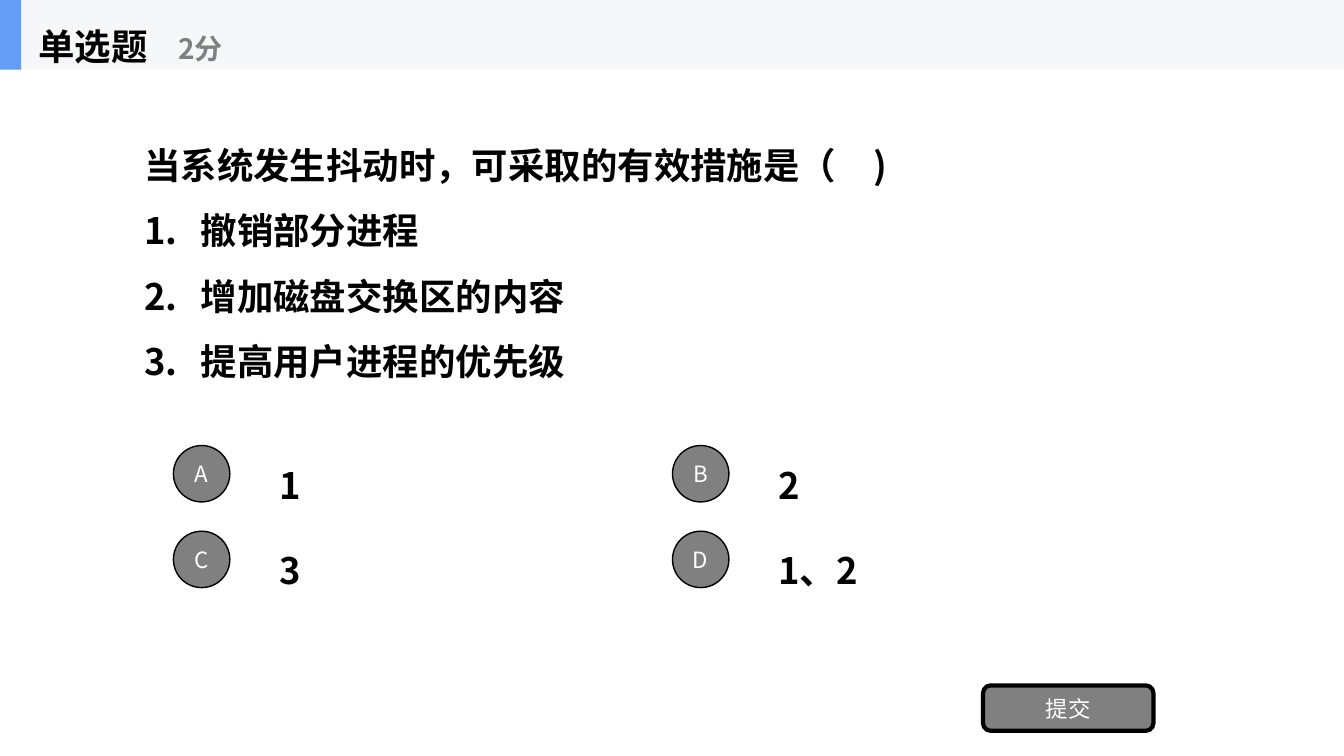
import pptx
import pptx.util
import pptx.dml.color
import pptx.enum.shapes
import pptx.enum.text
import pptx.oxml
import pptx.oxml.ns

Inches = pptx.util.Inches
Shape = pptx.enum.shapes.MSO_SHAPE
Align = pptx.enum.text.PP_ALIGN

COLORS = {
    "text": "000000",
    "muted": "808080",
    "light": "FFFFFF",
    "band": "F6F7F8",
    "accent": "639EF4",
}
SLIDE_WIDTH, HEADER_HEIGHT = 13.33, 0.69


class QuizSlide:
    """Holds the style and the current slide, and draws each kind of element."""

    font = "Noto Sans CJK SC"

    def __init__(self, slide):
        self.slide = slide

    def color(self, name):
        return pptx.dml.color.RGBColor.from_string(COLORS[name])

    def format_runs(self, paragraph, size, color, bold):
        for run in paragraph.runs:
            run.font.size = pptx.util.Pt(size)
            run.font.bold = bold
            run.font.color.rgb = self.color(color)
            run.font.name = self.font
            east_asian = pptx.oxml.parse_xml(
                f'<a:ea {pptx.oxml.ns.nsdecls("a")} typeface="{self.font}"/>')
            run._r.get_or_add_rPr().append(east_asian)

    def format_paragraph(self, paragraph, indent=0.38, bullet="<a:buNone {}/>"):
        properties = paragraph._p.get_or_add_pPr()
        properties.set("marL", str(Inches(indent)))
        properties.set("indent", str(-Inches(indent)))
        properties.append(pptx.oxml.parse_xml(bullet.format(pptx.oxml.ns.nsdecls("a"))))
        paragraph.alignment = Align.LEFT
        paragraph.line_spacing = 1.5
        paragraph.space_before = pptx.util.Pt(0)

    def fill_text(self, holder, text, size=26, color="text", wrap=True, numbered_from=None):
        frame = holder.text_frame
        frame.text = text
        frame.word_wrap = wrap
        frame.auto_size = pptx.enum.text.MSO_AUTO_SIZE.NONE
        frame.vertical_anchor = pptx.enum.text.MSO_ANCHOR.MIDDLE
        for index, paragraph in enumerate(frame.paragraphs):
            if numbered_from is not None and index >= numbered_from:
                self.format_paragraph(paragraph, 0.56, '<a:buAutoNum {} type="arabicPeriod"/>')
            else:
                self.format_paragraph(paragraph)
            self.format_runs(paragraph, size, color, True)

    def placeholder(self, holder, box, text, **style):
        holder.left, holder.top, holder.width, holder.height = map(Inches, box)
        self.fill_text(holder, text, **style)

    def label(self, box, text, **style):
        self.fill_text(self.slide.shapes.add_textbox(*map(Inches, box)), text, **style)

    def block(self, kind, box, fill, line_width=0):
        shape = self.slide.shapes.add_shape(kind, *map(Inches, box))
        shape.shadow.inherit = False
        shape.fill.solid()
        shape.fill.fore_color.rgb = self.color(fill)
        if line_width:
            shape.line.color.rgb = self.color("text")
            shape.line.width = pptx.util.Pt(line_width)
        else:
            shape.line.fill.background()
        return shape

    def button(self, kind, box, text, line_width):
        frame = self.block(kind, box, "muted", line_width).text_frame
        frame.text = text
        frame.word_wrap = False
        frame.vertical_anchor = pptx.enum.text.MSO_ANCHOR.MIDDLE
        frame.paragraphs[0].alignment = Align.CENTER
        self.format_runs(frame.paragraphs[0], 16, "light", False)

    def bring_to_front(self, holder):
        holder.element.getparent().append(holder.element)


def main():
    presentation = pptx.Presentation()
    presentation.slide_width = Inches(SLIDE_WIDTH)
    presentation.slide_height = Inches(7.5)
    slide = presentation.slides.add_slide(presentation.slide_layouts[1])
    quiz = QuizSlide(slide)
    heading, question = slide.placeholders

    quiz.placeholder(question, (1.33, HEADER_HEIGHT, 10.67, 3.62), "\n".join([
        "当系统发生抖动时，可采取的有效措施是（　)",
        "撤销部分进程",
        "增加磁盘交换区的内容",
        "提高用户进程的优先级",
    ]), numbered_from=1)

    for index, (letter, answer) in enumerate(zip("ABCD", ["1", "2", "3", "1、2"])):
        row, column = divmod(index, 2)
        left, top = 1.72 + 4.95 * column, 4.35 + 0.85 * row
        quiz.label((left + 0.95, top, 3.86, 0.7), answer)
        quiz.button(Shape.OVAL, (left, top + 0.07, 0.56, 0.56), letter, 1)

    quiz.button(Shape.ROUNDED_RECTANGLE, (9.75, 6.8, 1.69, 0.45), "提交", 3)

    quiz.block(Shape.RECTANGLE, (0, 0, SLIDE_WIDTH, HEADER_HEIGHT), "band")
    quiz.block(Shape.RECTANGLE, (0, 0, 0.21, HEADER_HEIGHT), "accent")
    quiz.placeholder(heading, (0.28, 0, 2.08, HEADER_HEIGHT), "单选题", wrap=False)
    quiz.bring_to_front(heading)
    quiz.label((1.67, 0.12, 2.5, 0.56), "2分", size=20, color="muted", wrap=False)

    presentation.save("out.pptx")


if __name__ == "__main__":
    main()
